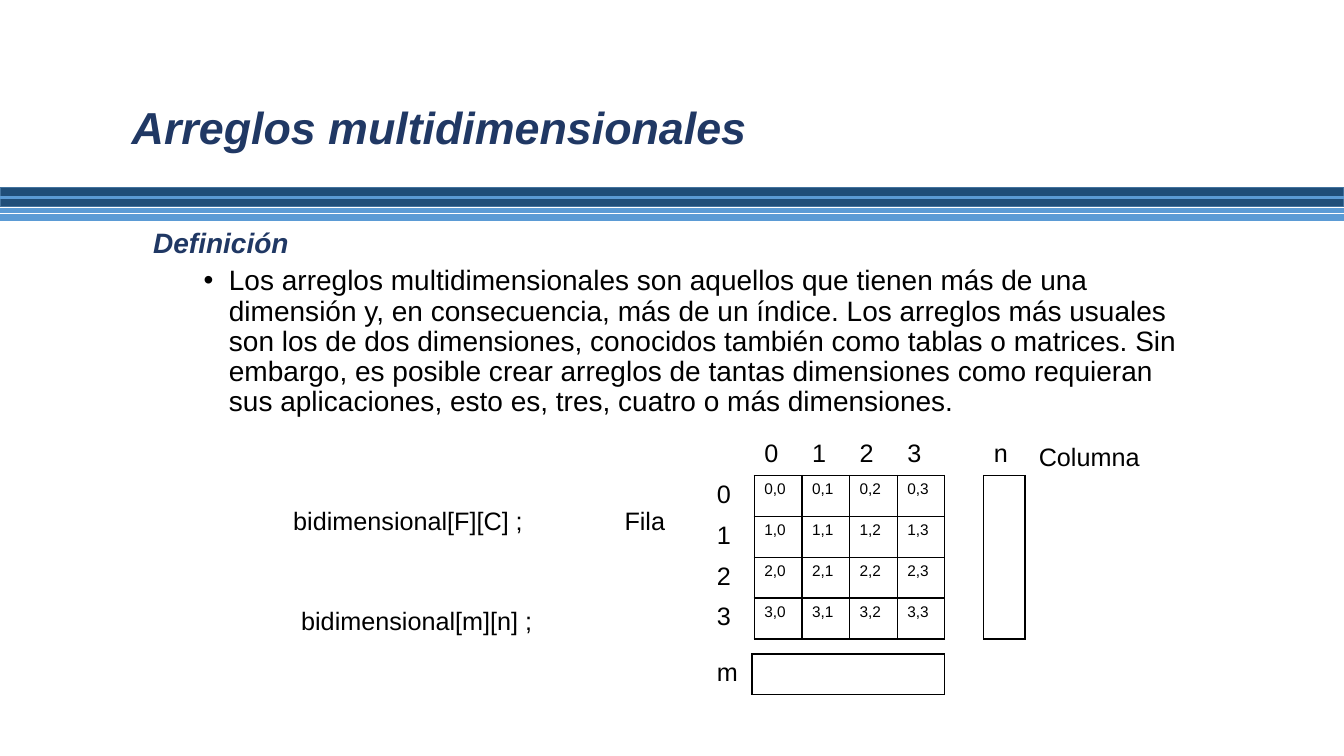
from dataclasses import dataclass

from lxml.etree import SubElement
from pptx import Presentation
from pptx.dml.color import RGBColor as Rgb
from pptx.enum.shapes import MSO_CONNECTOR as Link, MSO_SHAPE as Preset
from pptx.enum.text import MSO_AUTO_SIZE as Fit
from pptx.oxml.ns import qn
from pptx.util import Cm, Pt


@dataclass(frozen=True)
class Theme:
    font: str = "Arial"
    heading: str = "203864"
    ink: str = "000000"
    dark_bar: str = "1F4E79"
    dark_edge: str = "43739E"
    light_bar: str = "5B9BD5"
    white: str = "FFFFFF"
    title_size: int = 32
    body_size: int = 20
    label_size: int = 18
    index_size: int = 11


THEME = Theme()
WIDTH, HEIGHT = 33.87, 19.05
CELL_WIDTH, CELL_HEIGHT = 1.2, 1.03
DIAGRAM_LEFT, DIAGRAM_TOP = 17.81, 10.95
# Border tag -> step to the neighbouring cell
SIDES = {"a:lnL": (0, -1), "a:lnR": (0, 1), "a:lnT": (-1, 0), "a:lnB": (1, 0)}
DEFINITION = (
    "Los arreglos multidimensionales son aquellos que tienen más de una "
    "dimensión y, en consecuencia, más de un índice. Los arreglos más usuales "
    "son los de dos dimensiones, conocidos también como tablas o matrices. Sin "
    "embargo, es posible crear arreglos de tantas dimensiones como requieran "
    "sus aplicaciones, esto es, tres, cuatro o más dimensiones."
)


def apply_format(target, values):
    for name, value in values.items():
        setattr(target, name, value)


def write(para, text, size, color=THEME.ink, strong=False, **spacing):
    span = para.add_run()
    span.text = text
    apply_format(span.font, {"name": THEME.font, "size": Pt(size),
                             "bold": strong, "italic": strong})
    span.font.color.rgb = Rgb.from_string(color)
    apply_format(para, spacing)


def set_line(line, color, width):
    line.color.rgb = Rgb.from_string(color)
    line.width = Pt(width)


def add_bar(page, top, height, color, edge):
    bar = page.shapes.add_shape(Preset.RECTANGLE, 0, Cm(top), Cm(WIDTH), Cm(height))
    bar.shadow.inherit = False
    bar.fill.solid()
    bar.fill.fore_color.rgb = Rgb.from_string(color)
    set_line(bar.line, edge, 1)


def add_stripe(page, top, color, width):
    stripe = page.shapes.add_connector(Link.STRAIGHT, 0, Cm(top), Cm(WIDTH), Cm(top))
    set_line(stripe.line, color, width)
    SubElement(stripe._element.spPr, qn("a:effectLst"))


def add_box(page, left, top, width, height, wrap=True):
    box = page.shapes.add_textbox(Cm(left), Cm(top), Cm(width), Cm(height))
    apply_format(box.text_frame, {
        "word_wrap": wrap,
        "auto_size": Fit.NONE if wrap else Fit.SHAPE_TO_FIT_TEXT})
    return box.text_frame


def add_label(page, text, left, top, width):
    frame = add_box(page, left, top, width, 1.02, wrap=False)
    write(frame.paragraphs[0], text, THEME.label_size)


def add_bullet(para, left, hanging):
    props = para._p.get_or_add_pPr()
    apply_format(para, {"level": 1})
    props.set("marL", str(Cm(left)))
    props.set("indent", str(-Cm(hanging)))
    SubElement(props, qn("a:buFont"), typeface=THEME.font)
    SubElement(props, qn("a:buChar"), char="•")


def add_border(cell, tag, position, drawn):
    border = cell._tc.get_or_add_tcPr().makeelement(qn(tag), {"w": str(Pt(1))})
    if drawn:
        fill = SubElement(border, qn("a:solidFill"))
        SubElement(fill, qn("a:srgbClr"), val=THEME.ink)
    else:
        SubElement(border, qn("a:noFill"))
    cell._tc.get_or_add_tcPr().insert(position, border)


def add_grid(page, left, top, widths, heights, texts, framed):
    """Draw a table; framed holds the (row, column) places with a full outline."""
    table = page.shapes.add_table(
        len(heights), len(widths), Cm(left), Cm(top),
        Cm(sum(widths)), Cm(sum(heights))).table
    apply_format(table, {"first_row": False, "horz_banding": False})
    for column, width in zip(table.columns, widths):
        column.width = Cm(width)
    for row, height in zip(table.rows, heights):
        row.height = Cm(height)
    for r, row_texts in enumerate(texts):
        for c, text in enumerate(row_texts):
            cell = table.cell(r, c)
            cell.fill.background()
            if text:
                size = THEME.index_size if (r, c) in framed else THEME.label_size
                write(cell.text_frame.paragraphs[0], text, size)
            for position, (tag, (down, right)) in enumerate(SIDES.items()):
                drawn = (r, c) in framed or (r + down, c + right) in framed
                add_border(cell, tag, position, drawn)


def add_diagram(page):
    # Matrix with its row and column indices
    indices = range(4)
    texts = [[""] + [str(c) for c in indices]]
    texts += [[str(r)] + [f"{r},{c}" for c in indices] for r in indices]
    framed = {(r + 1, c + 1) for r in indices for c in indices}
    add_grid(page, DIAGRAM_LEFT, DIAGRAM_TOP, [CELL_WIDTH] * 5,
             [CELL_HEIGHT] * 5, texts, framed)
    # Last column n and last row m
    add_grid(page, 24.79, DIAGRAM_TOP, [1.04],
             [CELL_HEIGHT, 4 * CELL_HEIGHT], [["n"], [""]], {(1, 0)})
    add_grid(page, DIAGRAM_LEFT, 16.48, [1.14, 4.85], [1.02], [["m", ""]], {(0, 1)})


def main():
    deck = Presentation()
    apply_format(deck, {"slide_width": Cm(WIDTH), "slide_height": Cm(HEIGHT)})
    page = deck.slides.add_slide(deck.slide_layouts[6])

    # Header band
    add_bar(page, 4.72, 0.48, THEME.dark_bar, THEME.dark_edge)
    add_bar(page, 5.26, 0.3, THEME.light_bar, THEME.light_bar)
    add_stripe(page, 4.98, THEME.light_bar, 1.75)
    add_stripe(page, 5.38, THEME.white, 0.75)

    # Title and definition
    title = add_box(page, 3.07, 2.54, 28.45, 1.83)
    write(title.paragraphs[0], "Arreglos multidimensionales", THEME.title_size,
          THEME.heading, strong=True, line_spacing=0.9)
    body = add_box(page, 3.61, 5.66, 26.97, 10.69)
    write(body.paragraphs[0], "Definición", THEME.body_size, THEME.heading,
          strong=True, line_spacing=0.9, space_before=Pt(10))
    para = body.add_paragraph()
    write(para, DEFINITION, THEME.body_size, line_spacing=0.9, space_before=Pt(5))
    add_bullet(para, 1.91, 0.64)

    # Declarations, matrix and axis names
    add_label(page, "bidimensional[F][C] ;", 7.14, 12.6, 6.35)
    add_label(page, "bidimensional[m][n] ;", 7.34, 15.14, 6.4)
    add_diagram(page)
    add_label(page, "Fila", 15.49, 12.6, 1.55)
    add_label(page, "Columna", 25.93, 11, 3.07)

    deck.save("out.pptx")


main()
